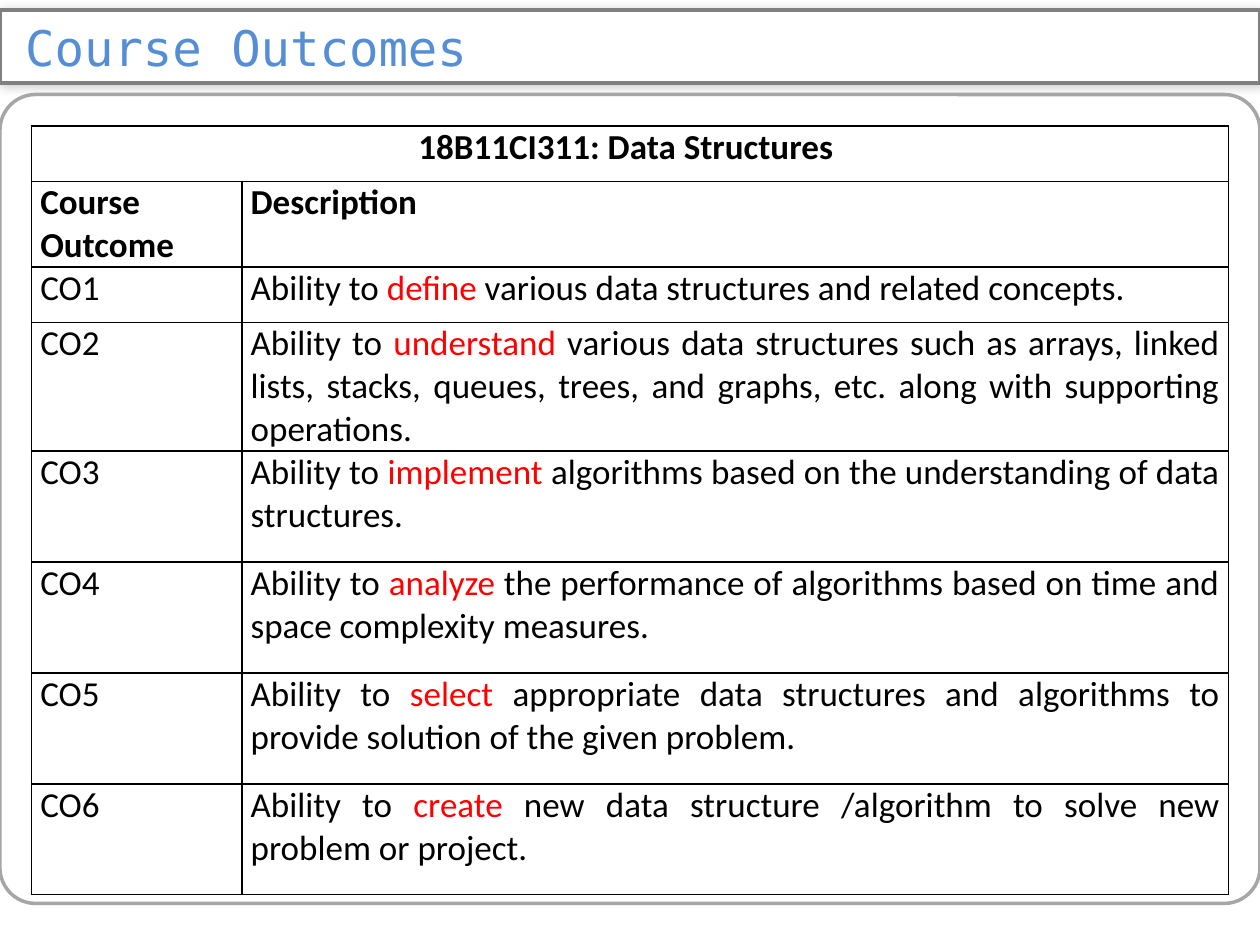
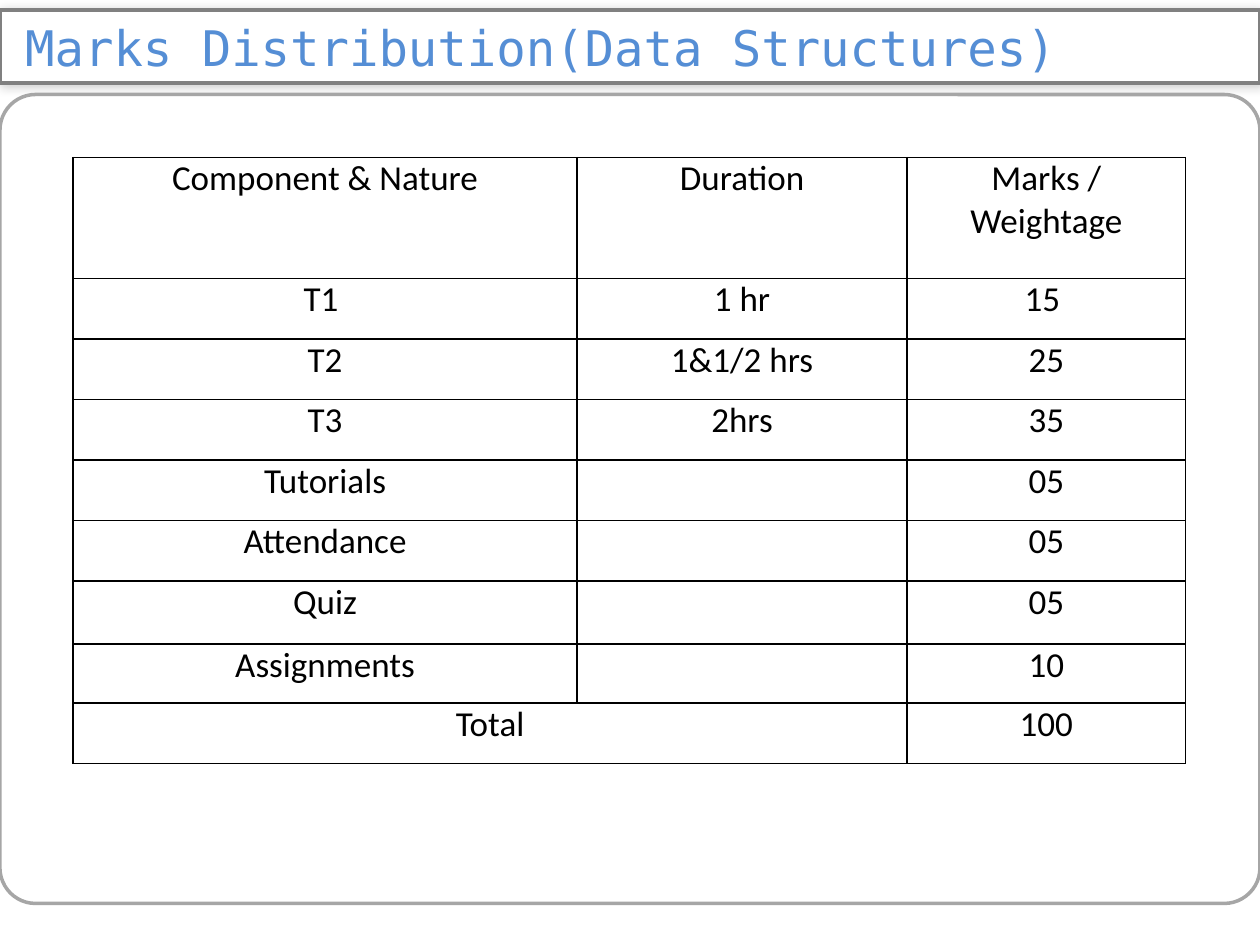
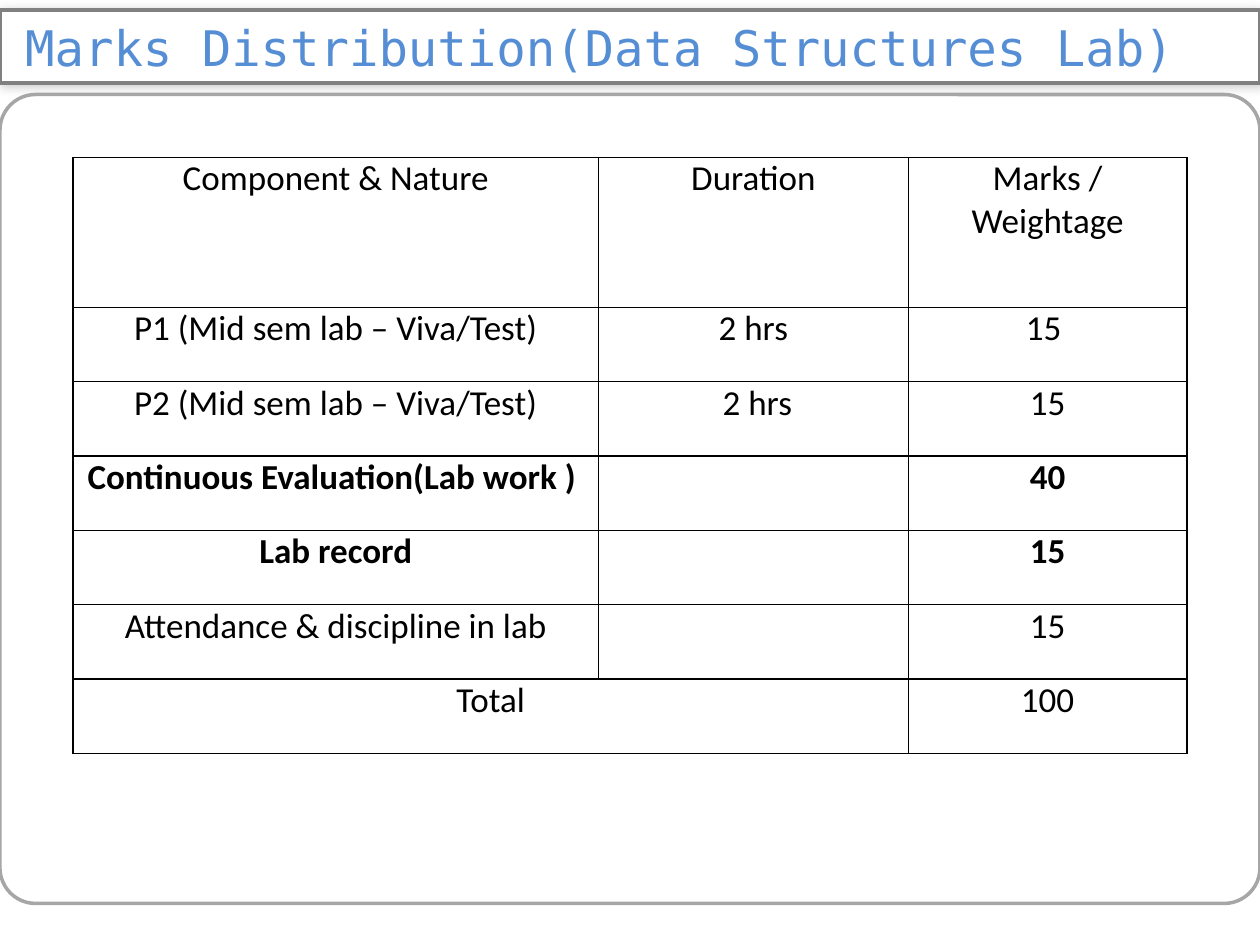
import pptx
import pptx.util
import pptx.oxml
import pptx.oxml.ns
import pptx.dml.color
import pptx.enum.shapes
import pptx.enum.text

Inches = pptx.util.Inches
Pt = pptx.util.Pt
RGBColor = pptx.dml.color.RGBColor
Align = pptx.enum.text.PP_ALIGN

WHITE = RGBColor(0xFF, 0xFF, 0xFF)
BLACK = RGBColor(0x00, 0x00, 0x00)
RED = RGBColor(0xFF, 0x00, 0x00)
TITLE_BLUE = RGBColor(0x55, 0x8E, 0xD5)
BAND_GRAY = RGBColor(0x80, 0x80, 0x80)
PANEL_GRAY = RGBColor(0xA6, 0xA6, 0xA6)
TITLE_FONT = "DejaVu Sans Mono"
BODY_FONT = "Calibri"

OUTCOMES = [
    ("define", " various data structures and related concepts.  "),
    ("understand", " various data structures such as arrays, linked lists, stacks, queues, "
                   "trees, and graphs, etc. along with supporting operations. "),
    ("implement", " algorithms based on the understanding of data structures. "),
    ("analyze", " the performance of algorithms based on time and space complexity measures.  "),
    ("select", " appropriate data structures and algorithms to provide solution of the given problem. "),
    ("create", " new data structure /algorithm to solve new problem or project."),
]
OUTCOME_ROWS = [
    ("18B11CI311: Data Structures ", None),
    ("Course Outcome", "Description"),
] + [
    (f"CO{number}", ("Ability to ", verb, rest))
    for number, (verb, rest) in enumerate(OUTCOMES, 1)
]

MARKS_HEADER = ("Component & Nature", "Duration", "Marks / Weightage")
MARKS_TOTAL = ("Total", None, "100")
THEORY_ROWS = [
    MARKS_HEADER,
    ("T1 ", "1 hr", "15 "),
    ("T2", "1&1/2 hrs", "25"),
    ("T3", "2hrs", "35"),
    ("Tutorials", "", "05"),
    ("Attendance", "", "05"),
    ("Quiz", "", "05"),
    ("Assignments", "", "10"),
    MARKS_TOTAL,
]
LAB_ROWS = [
    MARKS_HEADER,
    ("P1 (Mid sem lab – Viva/Test)", "2 hrs", "15 "),
    ("P2 (Mid sem lab – Viva/Test)", " 2 hrs", "15"),
    ("Continuous Evaluation(Lab work ) ", "", "40"),
    ("Lab record", "", "15"),
    ("Attendance & discipline in lab", "", "15"),
    MARKS_TOTAL,
]

PAGES = [
    {"title": "Course Outcomes", "rows": OUTCOME_ROWS, "bold": (0, 1),
     "at": (0.25, 1), "widths": (1.67, 7.83), "heights": [0.44] * 3 + [0.88] * 5,
     "aligns": (Align.LEFT, Align.JUSTIFY)},
    {"title": "Marks Distribution(Data Structures)", "rows": THEORY_ROWS, "bold": (),
     "at": (0.58, 1.25), "widths": (4, 2.62, 2.21),
     "heights": [0.96] + [0.48] * 5 + [0.5, 0.47, 0.48], "aligns": (Align.CENTER,) * 3},
    {"title": "Marks Distribution(Data Structures Lab)", "rows": LAB_ROWS, "bold": (3, 4),
     "at": (0.58, 1.25), "widths": (4.17, 2.46, 2.21),
     "heights": [1.19] + [0.59] * 6, "aligns": (Align.CENTER,) * 3},
]

NAMESPACE = pptx.oxml.ns.nsdecls("a")
BAND_OUTLINE = (f'<a:prstGeom {NAMESPACE} prst="roundRect"><a:avLst>'
                '<a:gd name="adj" fmla="val 40900"/></a:avLst></a:prstGeom>')
BAND_SHADOW = (f'<a:effectLst {NAMESPACE}><a:outerShdw blurRad="{Pt(6)}" dist="{Pt(1)}" '
               'dir="2700000" algn="tl" rotWithShape="0"><a:srgbClr val="000000">'
               '<a:alpha val="20000"/></a:srgbClr></a:outerShdw></a:effectLst>')


def add_span(para, text, size, font, color, bold=False):
    span = para.add_run()
    span.text = text
    span.font.size = Pt(size)
    span.font.name = font
    span.font.bold = bold
    span.font.color.rgb = color


def add_panel(page):
    panel = page.shapes.add_shape(pptx.enum.shapes.MSO_SHAPE.ROUNDED_RECTANGLE,
                                  0, Inches(0.75), Inches(10), Inches(6.42))
    panel.adjustments[0] = 0.044
    panel.shadow.inherit = False
    panel.fill.background()
    panel.line.color.rgb = PANEL_GRAY
    panel.line.width = Pt(2)


def style_title(band, text):
    band.left, band.top = 0, Inches(0.08)
    band.width, band.height = Inches(10), Inches(0.58)
    properties = band.element.spPr
    properties.append(pptx.oxml.parse_xml(BAND_OUTLINE))
    band.fill.solid()
    band.fill.fore_color.rgb = WHITE
    band.line.color.rgb = BAND_GRAY
    band.line.width = Pt(2.5)
    properties.append(pptx.oxml.parse_xml(BAND_SHADOW))
    frame = band.text_frame
    frame.word_wrap = True
    frame.auto_size = pptx.enum.text.MSO_AUTO_SIZE.NONE
    frame.vertical_anchor = pptx.enum.text.MSO_ANCHOR.MIDDLE
    frame.margin_left, frame.margin_right = Inches(0.2), Inches(0.1)
    frame.margin_top = frame.margin_bottom = 0
    para = frame.paragraphs[0]
    para.alignment = Align.LEFT
    add_span(para, text, 28, TITLE_FONT, TITLE_BLUE)


def style_cell(cell):
    cell.margin_left = cell.margin_right = Inches(0.07)
    cell.margin_top = cell.margin_bottom = 0
    cell.fill.background()
    properties = cell._tc.get_or_add_tcPr()
    for index, side in enumerate("LRTB"):
        properties.insert(index, pptx.oxml.parse_xml(
            f'<a:ln{side} {NAMESPACE} w="{Pt(1)}"><a:solidFill>'
            f'<a:srgbClr val="{BLACK}"/></a:solidFill></a:ln{side}>'))


def add_grid(page, content):
    rows, widths, heights = content["rows"], content["widths"], content["heights"]
    left, top = content["at"]
    grid = page.shapes.add_table(len(rows), len(widths), Inches(left), Inches(top),
                                 Inches(sum(widths)), Inches(sum(heights))).table
    grid.first_row = grid.horz_banding = False
    for column, width in zip(grid.columns, widths):
        column.width = Inches(width)
    for row, height in zip(grid.rows, heights):
        row.height = Inches(height)
    for row_index, row in enumerate(rows):
        for column_index, text in enumerate(row):
            cell = grid.cell(row_index, column_index)
            style_cell(cell)
            if text is None:
                grid.cell(row_index, column_index - 1).merge(cell)
                grid.cell(row_index, column_index - 1).text_frame.paragraphs[0].alignment = Align.CENTER
            elif text:
                para = cell.text_frame.paragraphs[0]
                para.alignment = content["aligns"][column_index]
                pieces = (text,) if isinstance(text, str) else text
                for piece_index, piece in enumerate(pieces):
                    add_span(para, piece, 20, BODY_FONT, RED if piece_index == 1 else BLACK,
                             row_index in content["bold"])


def main():
    deck = pptx.Presentation()
    deck.slide_width, deck.slide_height = Inches(10), Inches(7.5)
    for content in PAGES:
        page = deck.slides.add_slide(deck.slide_layouts[5])
        style_title(page.shapes.title, content["title"])
        add_panel(page)
        add_grid(page, content)
    deck.save("out.pptx")


if __name__ == "__main__":
    main()
